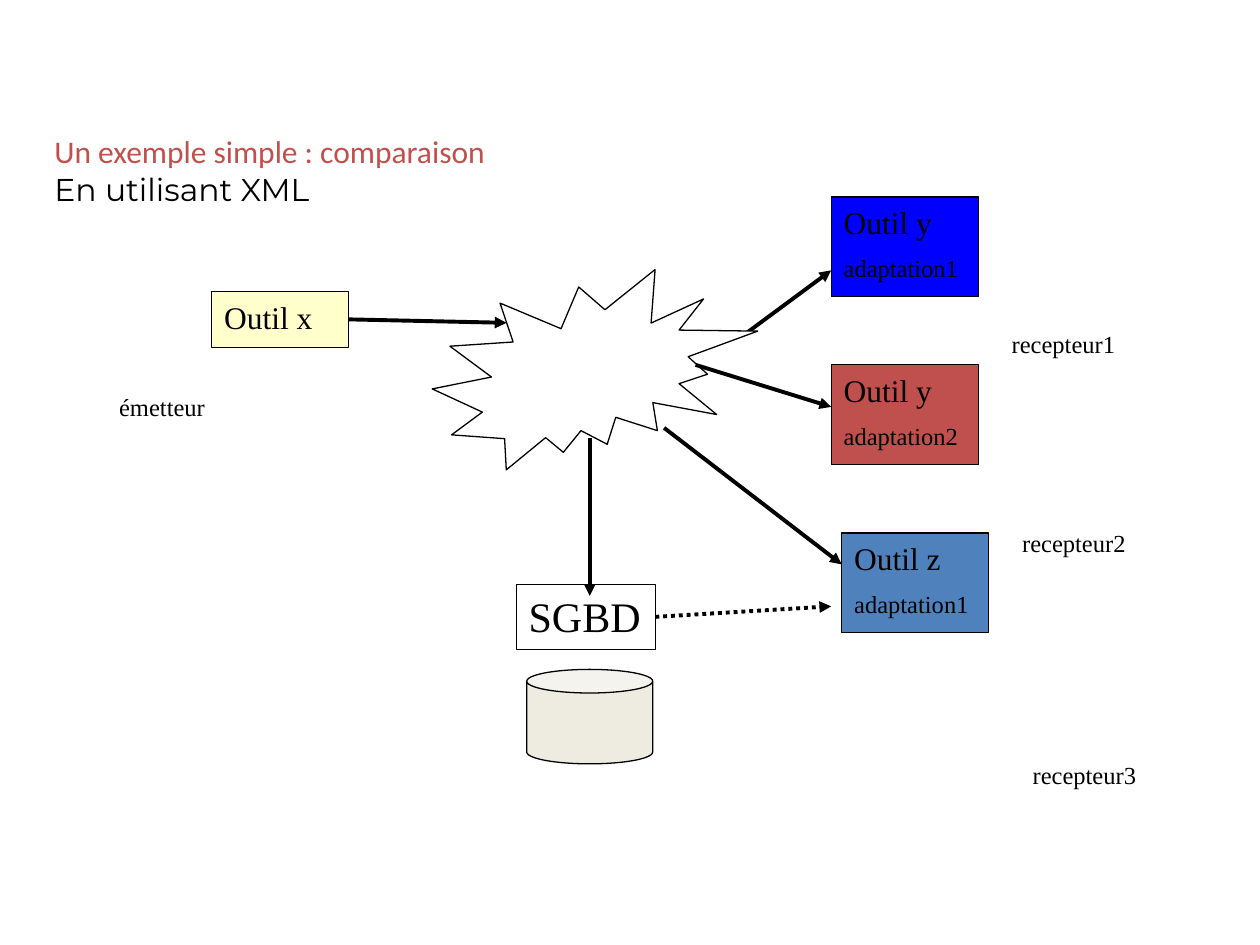
from lxml import etree
from pptx import Presentation
from pptx.dml.color import RGBColor
from pptx.enum.dml import MSO_LINE
from pptx.enum.shapes import MSO_CONNECTOR, MSO_SHAPE
from pptx.enum.text import MSO_ANCHOR, PP_ALIGN
from pptx.oxml.ns import qn
from pptx.util import Pt

RECTANGLE = MSO_SHAPE.RECTANGLE
EXPLOSION = MSO_SHAPE.EXPLOSION2
CAN = MSO_SHAPE.CAN
STRAIGHT = MSO_CONNECTOR.STRAIGHT
DOTTED = MSO_LINE.ROUND_DOT
LEFT = PP_ALIGN.LEFT
TOP = MSO_ANCHOR.TOP
RIGHT_SIDE = 3

BLACK = RGBColor(0x00, 0x00, 0x00)
WHITE = RGBColor(0xFF, 0xFF, 0xFF)
YELLOW = RGBColor(0xFF, 0xFF, 0xCC)
BLUE = RGBColor(0x00, 0x00, 0xFF)
RED = RGBColor(0xC0, 0x50, 0x4D)
STEEL = RGBColor(0x4F, 0x81, 0xBD)
IVORY = RGBColor(0xEE, 0xEC, 0xE1)

SERIF = "Times New Roman"

presentation = Presentation()
presentation.slide_width, presentation.slide_height = Pt(720), Pt(540)
slide = presentation.slides.add_slide(presentation.slide_layouts[6])
shapes = slide.shapes


def write(shape, text, size=14, font=SERIF, color=BLACK, wrap=True, before=0, add=False):
    """Write one paragraph, the first of the shape unless add is set."""
    frame = shape.text_frame
    frame.word_wrap = wrap
    frame.vertical_anchor = TOP
    paragraph = frame.add_paragraph() if add else frame.paragraphs[0]
    paragraph.alignment = LEFT
    paragraph.space_before = Pt(before)
    run = paragraph.add_run()
    run.text = text
    run.font.size = Pt(size)
    run.font.name = font
    run.font.color.rgb = color


def add_figure(kind, left, top, width, height, fill=None):
    shape = shapes.add_shape(kind, Pt(left), Pt(top), Pt(width), Pt(height))
    shape.shadow.inherit = False
    if fill is None:
        shape.fill.background()
    else:
        shape.fill.solid()
        shape.fill.fore_color.rgb = fill
    shape.line.color.rgb = BLACK
    shape.line.width = Pt(0.75)
    return shape


# Title
title = shapes.add_textbox(Pt(24), Pt(72), Pt(577.5), Pt(228))
write(title, "Un exemple simple : comparaison", size=18, font="Calibri", color=RED)
write(title, "En utilisant XML", size=18, font="Montserrat", add=True)

# Role labels
for text, left, top, width in [
    ("émetteur", 61, 220.5, 63.5),
    ("recepteur1", 571, 184.5, 73.5),
    ("recepteur2", 577, 298, 73.5),
    ("recepteur3", 583, 430.5, 73.5),
]:
    label = shapes.add_textbox(Pt(left), Pt(top), Pt(width), Pt(24))
    write(label, text, wrap=False)

# Sender and receivers
sender = add_figure(RECTANGLE, 121, 166.5, 78, 32, YELLOW)
write(sender, "Outil x", size=18)

for name, adaptation, left, top, fill in [
    ("Outil y", "adaptation1", 475, 112.5, BLUE),
    ("Outil y", "adaptation2", 475, 208.5, RED),
    ("Outil z", "adaptation1", 481, 304.5, STEEL),
]:
    receiver = add_figure(RECTANGLE, left, top, 84, 57, fill)
    write(receiver, name, size=18)
    write(receiver, adaptation, before=7, add=True)

# Database
database = add_figure(RECTANGLE, 295, 334, 79.5, 37)
write(database, "SGBD", size=24, wrap=False)
add_figure(CAN, 301, 382.5, 72, 54, IVORY)

# Arrows; the first one starts behind the burst
for index, (start, end, source) in enumerate([
    ((427, 190), (475, 154.5), None),
    ((199, 182.5), (289.5, 184.5), sender),
    ((397.5, 208.5), (475, 232.5), None),
    ((379.5, 244.5), (481, 322.5), None),
    ((337, 250.5), (337, 340.5), None),
    ((374.5, 352.5), (475, 346.5), database),
]):
    arrow = shapes.add_connector(STRAIGHT, Pt(start[0]), Pt(start[1]), Pt(end[0]), Pt(end[1]))
    if source is not None:
        arrow.begin_connect(source, RIGHT_SIDE)
    arrow.line.color.rgb = BLACK
    arrow.line.width = Pt(2.25)
    if source is database:
        arrow.line.dash_style = DOTTED
    properties = arrow.line._get_or_add_ln()
    etree.SubElement(properties, qn("a:tailEnd"), type="triangle")
    etree.SubElement(arrow._element.spPr, qn("a:effectLst"))
    if index == 0:
        add_figure(EXPLOSION, 247, 154, 186, 114.5, WHITE)

presentation.save("out.pptx")
